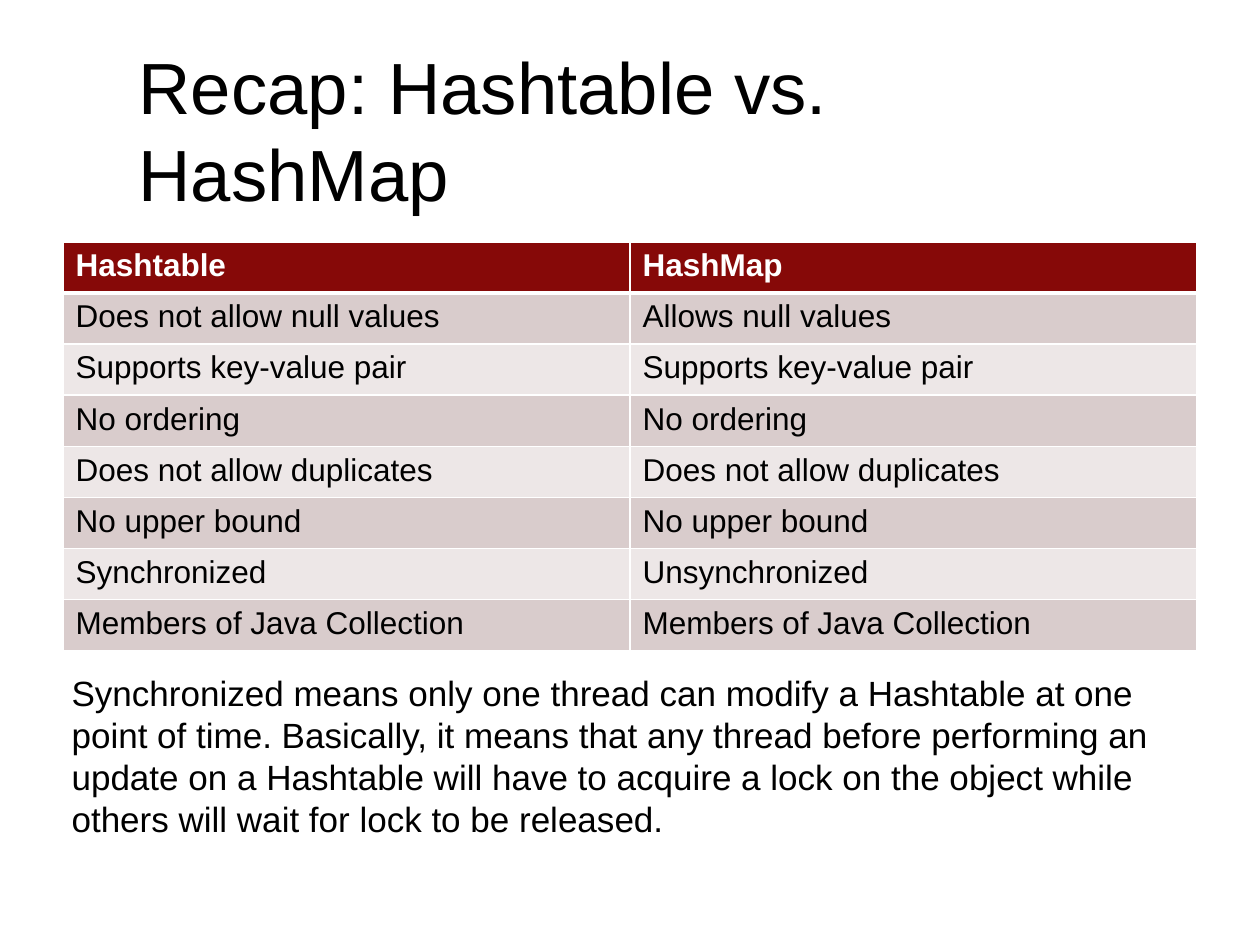
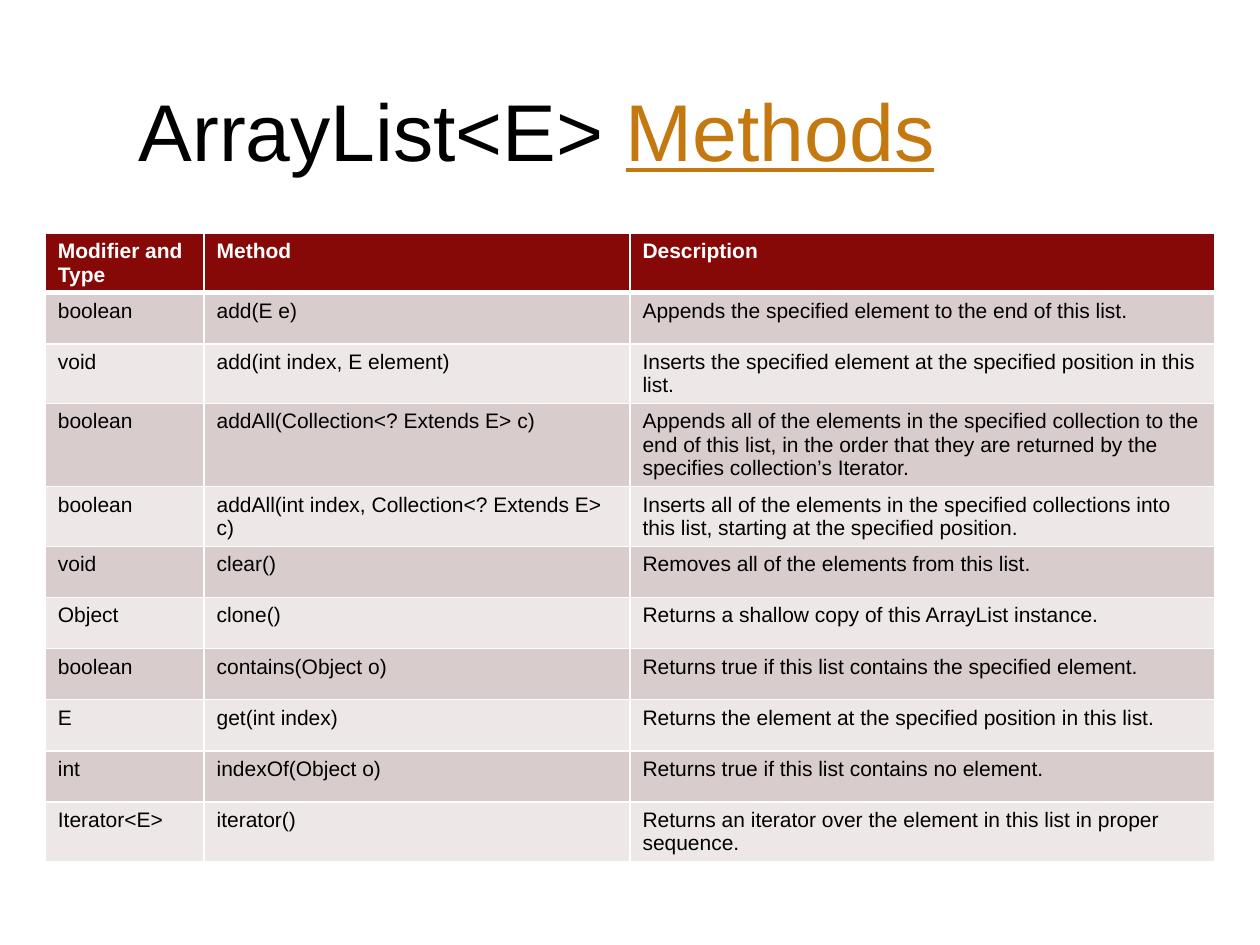
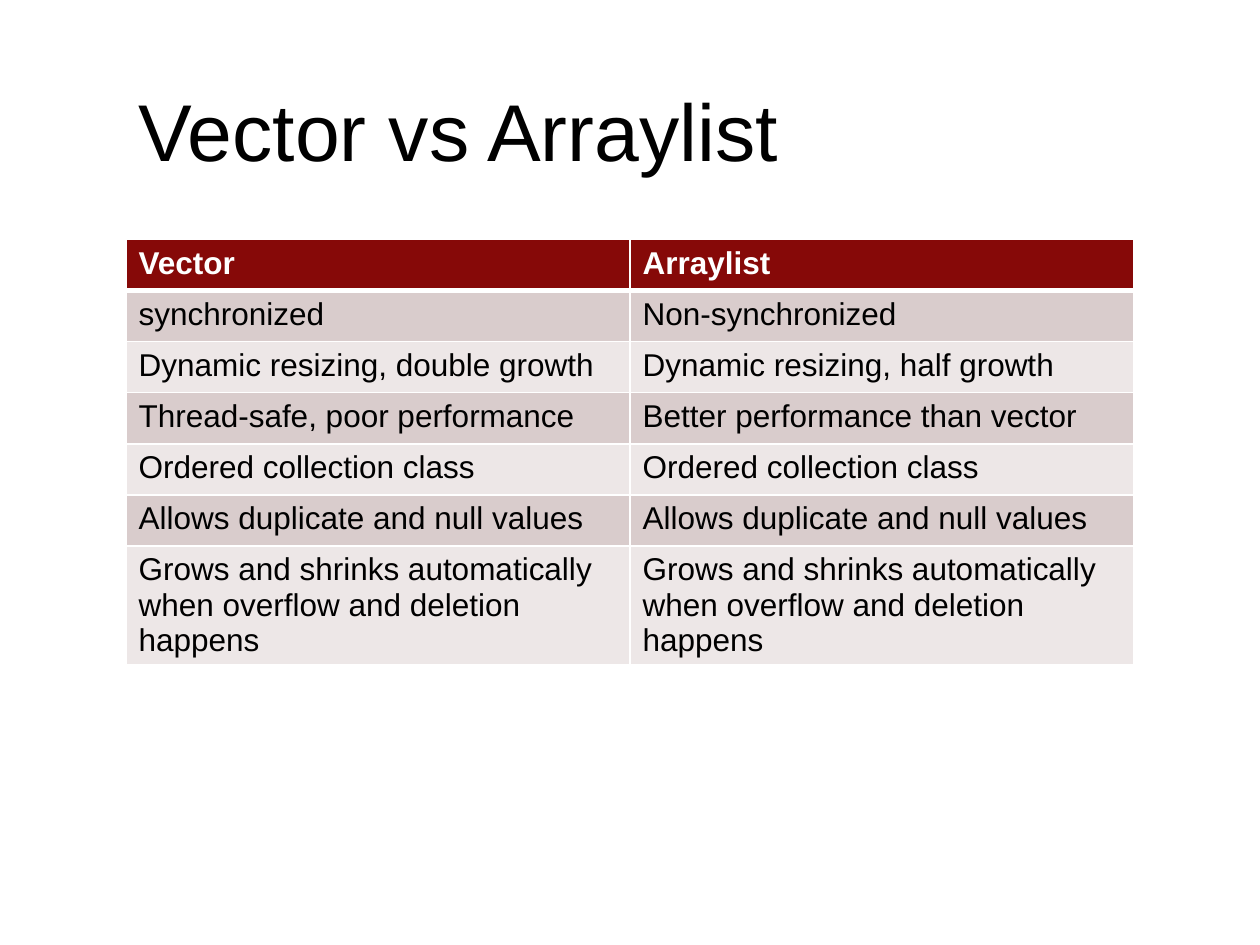
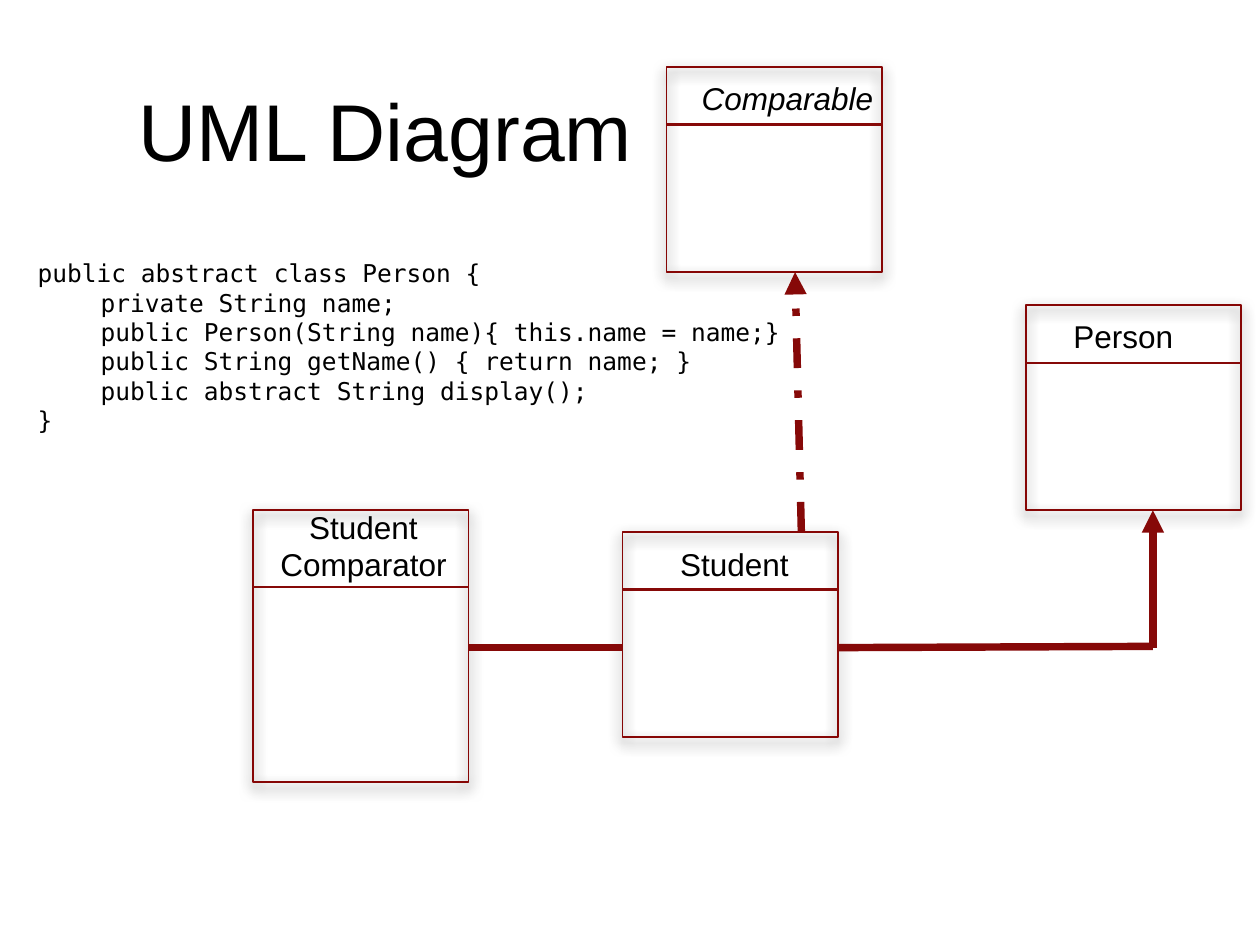
import lxml.etree
import pptx
import pptx.dml.color
import pptx.enum.dml
import pptx.enum.shapes
import pptx.enum.text
import pptx.oxml
import pptx.oxml.ns
import pptx.util

Inches = pptx.util.Inches
Pt = pptx.util.Pt
RGBColor = pptx.dml.color.RGBColor
qn = pptx.oxml.ns.qn

BLACK = RGBColor(0x00, 0x00, 0x00)
WHITE = RGBColor(0xFF, 0xFF, 0xFF)
DARK_RED = RGBColor(0x86, 0x09, 0x08)
OUTLINE_RED = RGBColor(0x86, 0x06, 0x05)
LINK_ORANGE = RGBColor(0xC4, 0x78, 0x10)
BANDS = (RGBColor(0xD9, 0xCC, 0xCC), RGBColor(0xED, 0xE7, 0xE7))

SANS = "Arial"
MONO = "DejaVu Sans Mono"
ROW_HEIGHT = Pt(29.2)

HASH_ROWS = [
    ("Hashtable", "HashMap"),
    ("Does not allow null values", "Allows null values"),
    ("Supports key-value pair", "Supports key-value pair"),
    ("No ordering", "No ordering"),
    ("Does not allow duplicates", "Does not allow duplicates"),
    ("No upper bound", "No upper bound"),
    ("Synchronized", "Unsynchronized"),
    ("Members of Java Collection", "Members of Java Collection"),
]
SYNCHRONIZED_NOTE = (
    "Synchronized means only one thread can modify a Hashtable at one point of time. "
    "Basically, it means that any thread before performing an update on a Hashtable "
    "will have to acquire a lock on the object while others will wait for lock to be released."
)
METHOD_ROWS = [
    ("Modifier and Type", "Method", "Description"),
    ("boolean", "add(E e)", "Appends the specified element to the end of this list."),
    ("void", "add(int index, E element)",
     "Inserts the specified element at the specified position in this list."),
    ("boolean", "addAll(Collection<? Extends E> c)",
     "Appends all of the elements in the specified collection to the end of this list, "
     "in the order that they are returned by the specifies collection’s Iterator."),
    ("boolean", "addAll(int index, Collection<? Extends E> c)",
     "Inserts all of the elements in the specified collections into this list, "
     "starting at the specified position."),
    ("void", "clear()", "Removes all of the elements from this list."),
    ("Object", "clone()", "Returns a shallow copy of this ArrayList instance."),
    ("boolean", "contains(Object o)",
     "Returns true if this list contains the specified element."),
    ("E", "get(int index)", "Returns the element at the specified position in this list."),
    ("int", "indexOf(Object o)", "Returns true if this list contains no element."),
    ("Iterator<E>", "iterator()",
     "Returns an iterator over the element in this list in proper sequence."),
]
VECTOR_ROWS = [
    ("Vector", "Arraylist"),
    ("synchronized", "Non-synchronized"),
    ("Dynamic resizing, double growth", "Dynamic resizing, half growth"),
    ("Thread-safe, poor performance", "Better performance than vector"),
    ("Ordered collection class", "Ordered collection class"),
    ("Allows duplicate and null values", "Allows duplicate and null values"),
    ("Grows and shrinks automatically when overflow and deletion happens",
     "Grows and shrinks automatically when overflow and deletion happens"),
]
PERSON_CODE = [
    "public abstract class Person {",
    "\tprivate String name;",
    "\tpublic Person(String name){ this.name = name;}",
    "\tpublic String getName() { return name; }",
    "\tpublic abstract String display();",
    "}",
]

CLASS_WIDTH = 1.71
# left, top, height, header height
CLASS_BOXES = [
    (8.14, 2.42, 1.63, 0.46),
    (4.94, 4.22, 1.63, 0.46),
    (2.01, 4.05, 2.16, 0.61),
    (5.29, 0.53, 1.63, 0.46),
]
# lines, place, italic
CLASS_LABELS = [
    (["Person"], (8.42, 2.47, 1.01, 0.4), False),
    (["Student"], (5.3, 4.28, 1.14, 0.4), False),
    (["Student", "Comparator"], (2.02, 3.98, 1.73, 0.71), False),
    (["Comparable"], (5.47, 0.58, 1.58, 0.4), True),
]
# start, end, has arrowhead, is dashed
RELATIONS = [
    ((6.65, 5.14), (9.15, 5.13), False, False),
    ((9.15, 5.14), (9.15, 4.05), True, False),
    ((3.72, 5.14), (4.94, 5.14), False, False),
    ((6.36, 4.22), (6.31, 2.16), True, True),
]


def add_span(para, text, size, color=BLACK, font=SANS, bold=False, italic=False, underline=False):
    span = para.add_run()
    span.text = text
    span.font.name = font
    span.font.size = Pt(size)
    span.font.color.rgb = color
    span.font.bold = bold
    span.font.italic = italic
    span.font.underline = underline


def add_page(deck, title, size=46, link=None):
    """Add a title-only slide; link is a last title word in the link colour."""
    page = deck.slides.add_slide(deck.slide_layouts[5])
    box = page.shapes.title
    box.left, box.top, box.width, box.height = map(Inches, (1, 0.55, 8, 0.95))
    frame = box.text_frame
    frame.auto_size = pptx.enum.text.MSO_AUTO_SIZE.NONE
    frame.vertical_anchor = pptx.enum.text.MSO_ANCHOR.MIDDLE
    para = frame.paragraphs[0]
    para.alignment = pptx.enum.text.PP_ALIGN.LEFT
    add_span(para, title, size)
    if link:
        add_span(para, link, size, LINK_ORANGE, underline=True)
    return page


def add_text(page, lines, place, size, font=SANS, italic=False, wrap=True, centred=False, tab=None):
    box = page.shapes.add_textbox(*map(Inches, place))
    frame = box.text_frame
    frame.word_wrap = wrap
    frame.auto_size = pptx.enum.text.MSO_AUTO_SIZE.SHAPE_TO_FIT_TEXT
    for index, line in enumerate(lines):
        para = frame.add_paragraph() if index else frame.paragraphs[0]
        if centred:
            para.alignment = pptx.enum.text.PP_ALIGN.CENTER
        if tab:
            stops = lxml.etree.SubElement(para._p.get_or_add_pPr(), qn("a:tabLst"))
            lxml.etree.SubElement(stops, qn("a:tab"), pos=str(Inches(tab)), algn="l")
        add_span(para, line, size, font=font, italic=italic)


def set_borders(cell, widths):
    """Draw white cell borders; widths are points for left, right, top, bottom."""
    properties = cell._tc.get_or_add_tcPr()
    for index, (side, width) in enumerate(zip("LRTB", widths)):
        line = lxml.etree.Element(qn("a:ln" + side), w=str(Pt(width)))
        fill = lxml.etree.SubElement(line, qn("a:solidFill"))
        lxml.etree.SubElement(fill, qn("a:srgbClr"), val=str(WHITE))
        properties.insert(index, line)


def add_banded_table(page, rows, left, top, widths, size):
    frame = page.shapes.add_table(len(rows), len(widths), Inches(left), Inches(top),
                                  Inches(sum(widths)), ROW_HEIGHT * len(rows))
    table = frame.table
    for column, width in zip(table.columns, widths):
        column.width = Inches(width)
    for row_index, row in enumerate(rows):
        table.rows[row_index].height = ROW_HEIGHT
        header = row_index == 0
        for column_index, text in enumerate(row):
            cell = table.cell(row_index, column_index)
            cell.fill.solid()
            cell.fill.fore_color.rgb = DARK_RED if header else BANDS[(row_index - 1) % 2]
            set_borders(cell, (1, 1, 3 if row_index == 1 else 1, 3 if header else 1))
            add_span(cell.text_frame.paragraphs[0], text, size,
                     WHITE if header else BLACK, bold=header)


def add_line(shapes, start, end, width, arrow=False, dashed=False):
    line = shapes.add_connector(pptx.enum.shapes.MSO_CONNECTOR.STRAIGHT,
                                *map(Inches, start + end))
    line.line.color.rgb = DARK_RED
    line.line.width = Pt(width)
    if dashed:
        line.line.dash_style = pptx.enum.dml.MSO_LINE.DASH_DOT
    if arrow:
        lxml.etree.SubElement(line.line._get_or_add_ln(), qn("a:tailEnd"), type="triangle")
    lxml.etree.SubElement(line._element.spPr, qn("a:effectLst"))


def add_class_box(page, left, top, height, header_height):
    """Add a shadowed outline grouped with the line under its header."""
    group = page.shapes.add_group_shape()
    box = group.shapes.add_shape(pptx.enum.shapes.MSO_SHAPE.RECTANGLE,
                                 *map(Inches, (left, top, CLASS_WIDTH, height)))
    box.fill.background()
    box.line.color.rgb = OUTLINE_RED
    box.line.width = Pt(1)
    box.shadow.inherit = False
    effects = box._element.spPr.find(qn("a:effectLst"))
    shadow = lxml.etree.SubElement(effects, qn("a:outerShdw"), blurRad=str(Pt(8)),
                                   dist=str(Pt(3)), dir="5400000", rotWithShape="0")
    color = lxml.etree.SubElement(shadow, qn("a:srgbClr"), val=str(BLACK))
    lxml.etree.SubElement(color, qn("a:alpha"), val="75000")
    divider = top + header_height
    add_line(group.shapes, (left, divider), (left + CLASS_WIDTH, divider), 1.5)


def main():
    deck = pptx.Presentation()
    deck.slide_width, deck.slide_height = Inches(10), Inches(7.5)

    page = add_page(deck, "Recap: Hashtable vs. HashMap", size=41.4)
    add_banded_table(page, HASH_ROWS, 0.5, 1.92, (4.5, 4.5), 18)
    add_text(page, [SYNCHRONIZED_NOTE], (0.47, 5.28, 9.03, 1.45), 20)

    page = add_page(deck, "ArrayList<E> ", link="Methods")
    add_banded_table(page, METHOD_ROWS, 0.36, 1.85, (1.26, 3.38, 4.64), 12)

    page = add_page(deck, "Vector vs Arraylist")
    add_banded_table(page, VECTOR_ROWS, 1, 1.9, (4, 4), 18)

    page = add_page(deck, "UML Diagram")
    for class_box in CLASS_BOXES:
        add_class_box(page, *class_box)
    for start, end, arrow, dashed in RELATIONS:
        add_line(page.shapes, start, end, 4.25, arrow, dashed)
    for lines, place, italic in CLASS_LABELS:
        add_text(page, lines, place, 18, italic=italic, wrap=False, centred=len(lines) > 1)
    add_text(page, PERSON_CODE, (0.2, 2, 6.11, 1.51), 14, font=MONO, tab=0.5)

    deck.save("out.pptx")


if __name__ == "__main__":
    main()
